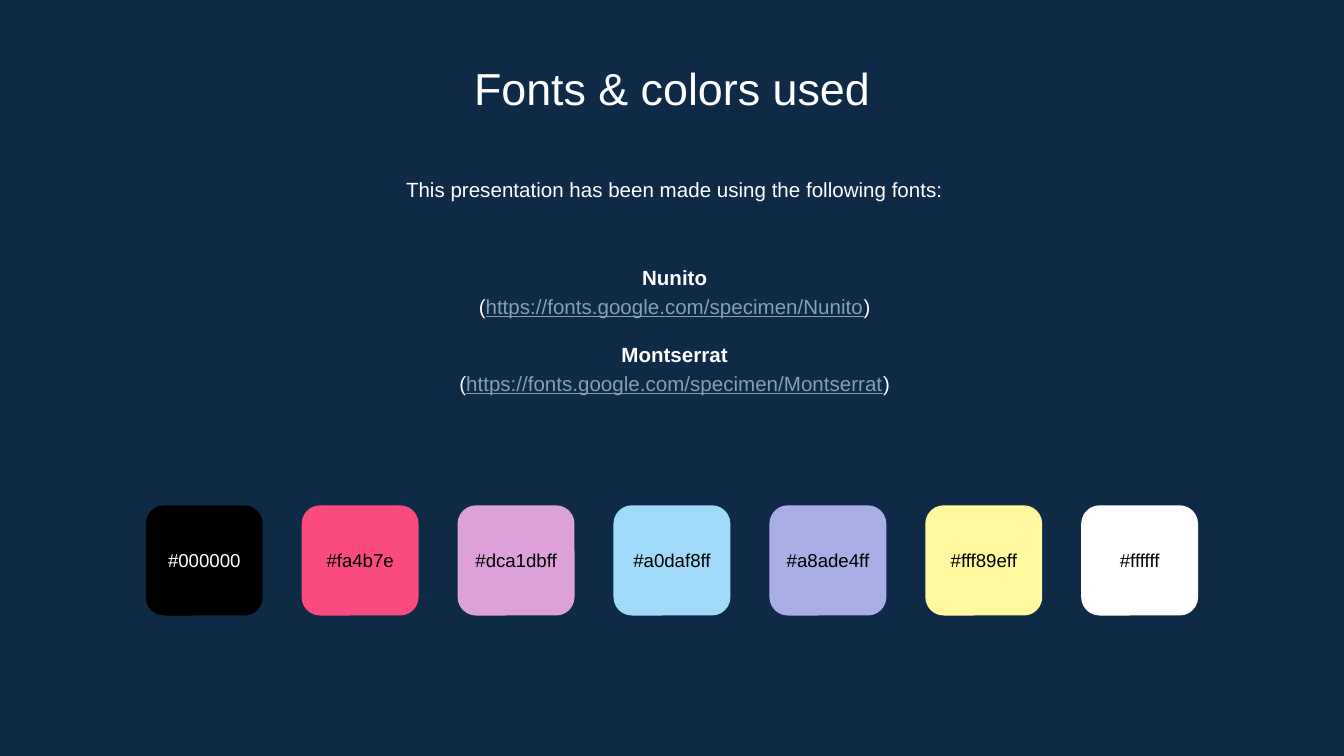
from pptx import Presentation
from pptx import util as u
from pptx.dml.color import RGBColor
from pptx.enum import shapes, text

WIDE = 10
HIGH = WIDE * 9 / 16
FONT = "Arial"
COLORS = {"back": "0E2A47", "light": "FFFFFF", "dark": "000000", "link": "869FB2"}
TILES = ["#000000", "#fa4b7e", "#dca1dbff", "#a0daf8ff", "#a8ade4ff", "#fff89eff", "#ffffff"]
SITE = "https://fonts.google.com/specimen/"
FACES = ["Nunito", "Montserrat"]
TILE_W, TILE_H, GAP, TILE_Y = 0.87, 0.82, 0.29, 3.76
LABEL_H = 0.48


def tint(color, code):
    color.rgb = RGBColor.from_string(code)


def place(shape, box):
    for name, value in zip(("left", "top", "width", "height"), box):
        setattr(shape, name, u.Inches(value))


def write(frame, lines, size, anchor="TOP", spacing=1.0):
    """Fill a frame; a line is (space before, runs), a run is (words, color, format)."""
    form = {"word_wrap": True, "auto_size": text.MSO_AUTO_SIZE.NONE,
            "vertical_anchor": text.MSO_ANCHOR[anchor]}
    for side in ("left", "top", "right", "bottom"):
        form[f"margin_{side}"] = u.Inches(0.1)
    for name, value in form.items():
        setattr(frame, name, value)
    for i, (before, runs) in enumerate(lines):
        para = frame.add_paragraph() if i else frame.paragraphs[0]
        para.alignment = text.PP_ALIGN.CENTER
        para.line_spacing = spacing
        para.space_before = u.Pt(before)
        for words, color, style in runs:
            run = para.add_run()
            run.text = words
            for name, value in {"name": FONT, "size": u.Pt(size), **style}.items():
                setattr(run.font, name, value)
            tint(run.font.color, COLORS[color])


def add_text(slide, box, lines, size, **form):
    area = slide.shapes.add_textbox(*map(u.Inches, box))
    write(area.text_frame, lines, size, **form)


def add_title(slide, box, words):
    place(slide.shapes.title, box)
    write(slide.shapes.title.text_frame, [(0, [(words, "light", {})])], 24)


def add_tile(slide, left, code):
    tile = slide.shapes.add_shape(shapes.MSO_SHAPE.ROUNDED_RECTANGLE,
                                  *map(u.Inches, (left, TILE_Y, TILE_W, TILE_H)))
    tile.shadow.inherit = False
    tile.fill.solid()
    tint(tile.fill.fore_color, code[1:7].upper())
    tile.line.fill.background()
    ink = "light" if code == "#000000" else "dark"
    top = TILE_Y + (TILE_H - LABEL_H) / 2
    add_text(slide, (left, top, TILE_W, LABEL_H), [(0, [(code, ink, {})])],
             10, anchor="MIDDLE")


def list_faces():
    lines = []
    for i, face in enumerate(FACES):
        lines.append((11 if i else 0, [(face, "light", {"bold": True})]))
        lines.append((0, [("(", "light", {}),
                          (SITE + face, "link", {"underline": True}),
                          (")", "light", {})]))
    return lines


def main():
    deck = Presentation()
    deck.slide_width, deck.slide_height = u.Inches(WIDE), u.Inches(HIGH)
    slide = deck.slides.add_slide(deck.slide_layouts.get_by_name("Title Only"))
    slide.background.fill.solid()
    tint(slide.background.fill.fore_color, COLORS["back"])

    add_title(slide, (1.15, 0.35, 7.7, 0.53), "Fonts & colors used")
    intro = "This presentation has been made using the following fonts:"
    add_text(slide, (1.17, 1.19, 7.7, 0.48), [(0, [(intro, "light", {})])],
             11, spacing=1.15)
    add_text(slide, (1.17, 1.76, 7.7, 1.37), list_faces(), 11,
             anchor="MIDDLE", spacing=1.15)

    pitch = TILE_W + GAP
    start = (WIDE - len(TILES) * pitch + GAP) / 2
    for i, code in enumerate(TILES):
        add_tile(slide, start + i * pitch, code)
    deck.save("out.pptx")


if __name__ == "__main__":
    main()
